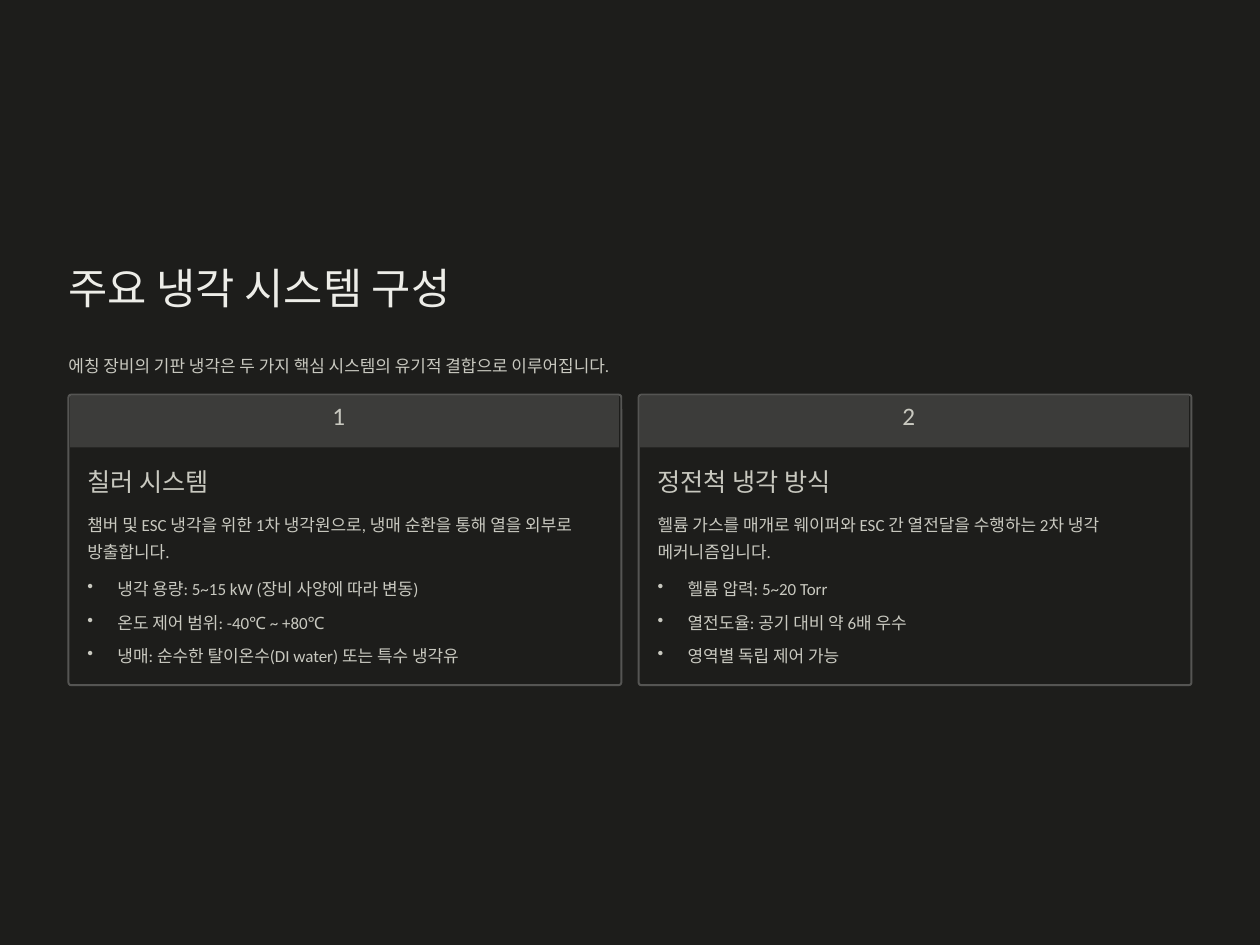
from lxml import etree
from pptx import Presentation
from pptx.dml.color import RGBColor
from pptx.enum.shapes import MSO_SHAPE
from pptx.oxml.ns import qn
from pptx.util import Cm, Pt

ROUNDED = MSO_SHAPE.ROUNDED_RECTANGLE

BACKGROUND = RGBColor(0x1D, 0x1D, 0x1B)
HEADER = RGBColor(0x3C, 0x3C, 0x3A)
BORDER = RGBColor(0x55, 0x55, 0x53)
TITLE = RGBColor(0xED, 0xED, 0xE8)
BODY = RGBColor(0xC9, 0xC9, 0xC0)

FONT = "Calibri"
MARGIN = 2.21
CARD_TOP = 12.73
CARD_PITCH = 18.39
HEADER_INSET = 0.05
TEXT_INSET = 0.61
BULLET_INDENT = Cm(0.97)

CARDS = [
    ("칠러 시스템",
     "챔버 및 ESC 냉각을 위한 1차 냉각원으로, 냉매 순환을 통해 열을 외부로 방출합니다.",
     ["냉각 용량: 5~15 kW (장비 사양에 따라 변동)",
      "온도 제어 범위: -40℃ ~ +80℃",
      "냉매: 순수한 탈이온수(DI water) 또는 특수 냉각유"]),
    ("정전척 냉각 방식",
     "헬륨 가스를 매개로 웨이퍼와 ESC 간 열전달을 수행하는 2차 냉각 메커니즘입니다.",
     ["헬륨 압력: 5~20 Torr",
      "열전도율: 공기 대비 약 6배 우수",
      "영역별 독립 제어 가능"]),
]


def add_text(page, left, top, width, height, text, size=15.5, leading=25, color=BODY):
    box = page.shapes.add_textbox(Cm(left), Cm(top), Cm(width), Cm(height))
    frame = box.text_frame
    frame.margin_left = frame.margin_top = frame.margin_right = frame.margin_bottom = 0
    frame.word_wrap = True
    frame.text = text
    for para in frame.paragraphs:
        para.line_spacing = Pt(leading)
        for span in para.runs:
            span.font.name = FONT
            span.font.size = Pt(size)
            span.font.color.rgb = color
    return box


def add_bullets(page, left, top, width, height, items):
    box = add_text(page, left, top, width, height, "\n".join(items))
    for index, para in enumerate(box.text_frame.paragraphs):
        if index:
            para.space_before = Pt(5.6)
        properties = para._p.get_or_add_pPr()
        properties.set("marL", str(BULLET_INDENT))
        properties.set("indent", str(-BULLET_INDENT))
        etree.SubElement(properties, qn("a:buChar")).set("char", "•")


def add_panel(page, left, top, width, height, fill, rounding, border=None):
    panel = page.shapes.add_shape(ROUNDED, Cm(left), Cm(top), Cm(width), Cm(height))
    panel.adjustments[0] = rounding
    panel.shadow.inherit = False
    panel.fill.solid()
    panel.fill.fore_color.rgb = fill
    if border is None:
        panel.line.fill.background()
    else:
        panel.line.color.rgb = border
        panel.line.width = Pt(1.8)


def add_card(page, index, heading, description, items):
    left = MARGIN + index * CARD_PITCH
    text_left = left + TEXT_INSET

    # Frame and numbered header
    add_panel(page, left, CARD_TOP, 17.83, 9.37, BACKGROUND, 0.009, BORDER)
    add_panel(page, left + HEADER_INSET, CARD_TOP + HEADER_INSET, 17.7, 1.65, HEADER, 0.004)
    add_text(page, left + 8.51, 13.08, 0.84, 1.04, str(index + 1), size=23, leading=23)

    # Card text
    add_text(page, text_left, 14.99, 8.28, 1.04, heading, size=23, leading=29)
    add_text(page, text_left, 16.36, 16.61, 1.75, description)
    add_bullets(page, text_left, 18.44, 16.61, 3.05, items)


def main():
    deck = Presentation()
    deck.slide_width, deck.slide_height = Cm(40.64), Cm(30.48)
    page = deck.slides.add_slide(deck.slide_layouts[6])
    page.background.fill.solid()
    page.background.fill.fore_color.rgb = BACKGROUND

    # Title and introduction
    add_text(page, MARGIN, 8.38, 13.79, 1.73, "주요 냉각 시스템 구성",
             size=39, leading=48.5, color=TITLE)
    add_text(page, MARGIN, 11.23, 36.22, 0.89,
             "에칭 장비의 기판 냉각은 두 가지 핵심 시스템의 유기적 결합으로 이루어집니다.")

    # The two cooling systems
    for index, card in enumerate(CARDS):
        add_card(page, index, *card)

    deck.save("out.pptx")


if __name__ == "__main__":
    main()
